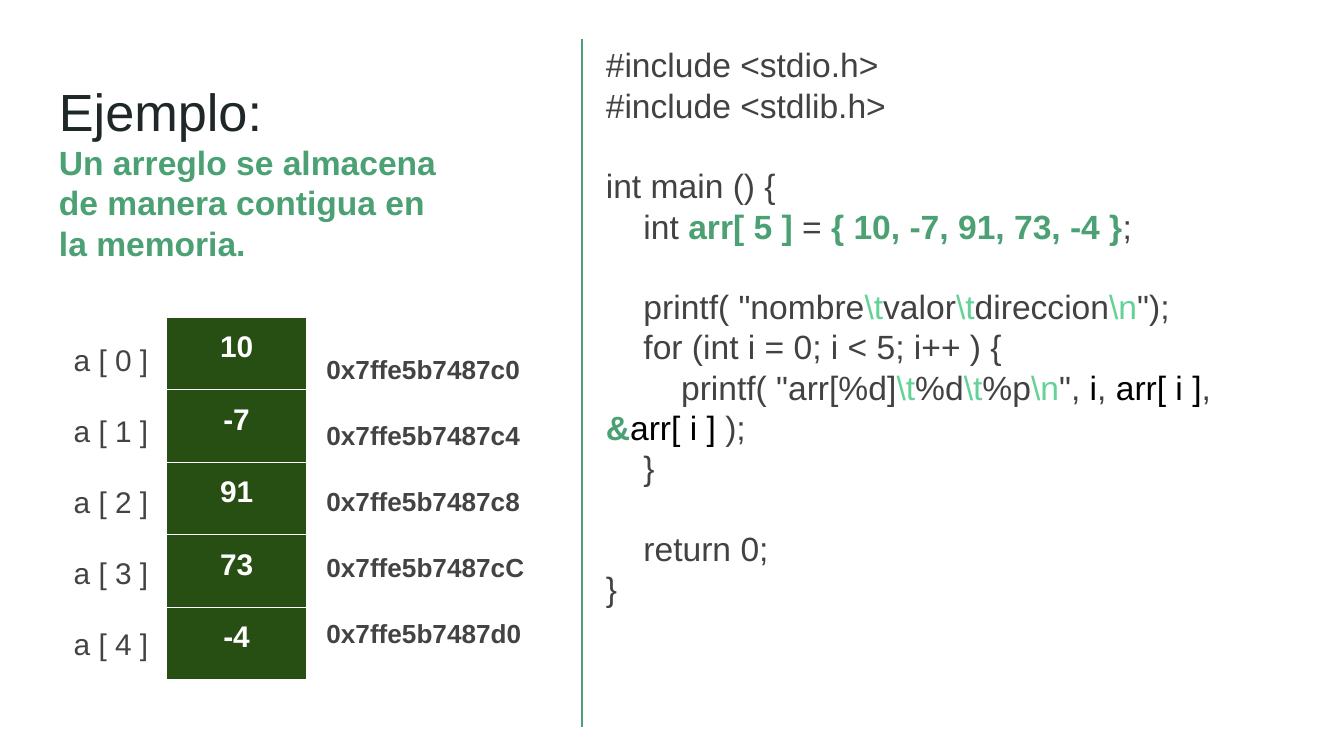
from lxml import etree
from pptx import Presentation
from pptx.dml.color import RGBColor
from pptx.enum import shapes, text
from pptx.oxml import ns
from pptx.util import Inches, Pt

FONT = "Arial"
GREEN, MINT, DARK_GREEN = "4BA173", "63D297", "274E13"
INK, CODE_GRAY, LABEL_GRAY = "202729", "424242", "434343"
BLACK, WHITE = "000000", "FFFFFF"

VALUES = ["10", "-7", "91", "73", "-4"]
ADDRESSES = ["0x7ffe5b7487" + end for end in ("c0", "c4", "c8", "cC", "d0")]
ARRAY_TOP, ROW_HEIGHT = 2.36, 0.54

PLAIN, KEY, ESCAPE, VARIABLE = (
    (CODE_GRAY, False), (GREEN, True), (MINT, False), (BLACK, False))
TAB, NEWLINE = ("\\t", ESCAPE), ("\\n", ESCAPE)

# Each line: indent level, blank line before it, runs
CODE = [
    (0, False, [("#include <stdio.h>", PLAIN)]),
    (0, False, [("#include <stdlib.h>", PLAIN)]),
    (0, True, [("int main () {", PLAIN)]),
    (1, False, [("int ", PLAIN), ("arr[ 5 ]", KEY), (" = ", PLAIN),
                ("{ 10, -7, 91, 73, -4 }", KEY), (";", PLAIN)]),
    (1, True, [('printf( "nombre', PLAIN), TAB, ("valor", PLAIN), TAB,
               ("direccion", PLAIN), NEWLINE, ('");', PLAIN)]),
    (1, False, [("for (int i = 0; i < 5; i++ ) {", PLAIN)]),
    (2, False, [('printf( "arr[%d]', PLAIN), TAB, ("%d", PLAIN), TAB,
                ("%p", PLAIN), NEWLINE, ('", ', PLAIN), ("i", VARIABLE),
                (", ", PLAIN), ("arr[ i ]", VARIABLE), (", ", PLAIN),
                ("&", KEY), ("arr[ i ]", VARIABLE), (" );", PLAIN)]),
    (1, False, [("}", PLAIN)]),
    (1, True, [("return 0;", PLAIN)]),
    (0, False, [("}", PLAIN)]),
]


def rgb(color):
    return RGBColor.from_string(color)


def set_margins(box):
    box.margin_left = box.margin_right = Inches(0.1)
    box.margin_top = box.margin_bottom = Inches(0.1)


def add_text_box(slide, left, top, width, height, anchor=text.MSO_ANCHOR.TOP):
    sp = slide.shapes.add_textbox(
        Inches(left), Inches(top), Inches(width), Inches(height))
    tf = sp.text_frame
    tf.word_wrap = True
    tf.vertical_anchor = anchor
    set_margins(tf)
    return tf


def next_paragraph(tf, index):
    return tf.paragraphs[0] if index == 0 else tf.add_paragraph()


def format_run(r, size, color, bold):
    r.font.name = FONT
    r.font.size = Pt(size)
    r.font.bold = bold
    r.font.color.rgb = rgb(color)


def format_runs(p, size, color, bold=False):
    for r in p.runs:
        format_run(r, size, color, bold)


def add_title(slide):
    tf = add_text_box(slide, 0.34, 0.49, 3.01, 1.51)
    tf.text = ("Ejemplo:\n"
               "Un arreglo se almacena de manera contigua en la memoria.")
    heading, statement = tf.paragraphs
    format_runs(heading, 28, INK)
    format_runs(statement, 18, GREEN, bold=True)


def add_divider(slide, x, top, bottom):
    line = slide.shapes.add_connector(
        shapes.MSO_CONNECTOR.STRAIGHT,
        Inches(x), Inches(top), Inches(x), Inches(bottom))
    line.line.color.rgb = rgb(GREEN)
    line.line.width = Pt(0.75)
    etree.SubElement(line._element.spPr, ns.qn("a:effectLst"))


def add_code(slide):
    tf = add_text_box(slide, 4.41, 0.23, 5.53, 5.25)
    for i, (level, blank_before, runs) in enumerate(CODE):
        p = next_paragraph(tf, i)
        p.space_before = Pt(21.5 if blank_before else 0)
        # First-line indent, so that wrapped code returns to the margin
        p._p.get_or_add_pPr().set("indent", str(Inches(0.28 * level)))
        for content, (color, bold) in runs:
            r = p.add_run()
            r.text = content
            format_run(r, 18, color, bold)


def add_list(slide, left, width, items, size, bold=False, before=0, after=0):
    """Column of labels beside the array; before and after are its end gaps."""
    tf = add_text_box(slide, left, ARRAY_TOP, width, ROW_HEIGHT * len(items),
                      text.MSO_ANCHOR.MIDDLE)
    for i, item in enumerate(items):
        p = next_paragraph(tf, i)
        p.text = item
        p.line_spacing = 1.15
        p.space_before = Pt(16 if i else before)
        format_runs(p, size, LABEL_GRAY, bold)
    p.space_after = Pt(after)


def set_borders(cell, color, width):
    tc_pr = cell._tc.get_or_add_tcPr()
    for i, side in enumerate(("a:lnL", "a:lnR", "a:lnT", "a:lnB")):
        ln = etree.Element(ns.qn(side), w=str(Pt(width)))
        fill = etree.SubElement(ln, ns.qn("a:solidFill"))
        etree.SubElement(fill, ns.qn("a:srgbClr"), val=color)
        tc_pr.insert(i, ln)


def add_array(slide):
    table = slide.shapes.add_table(
        len(VALUES), 1, Inches(1.24), Inches(ARRAY_TOP),
        Inches(1.04), Inches(ROW_HEIGHT * len(VALUES))).table
    table.first_row = table.horz_banding = False
    for row, value in zip(table.rows, VALUES):
        row.height = Inches(ROW_HEIGHT)
        cell = row.cells[0]
        cell.fill.solid()
        cell.fill.fore_color.rgb = rgb(DARK_GREEN)
        set_margins(cell)
        set_borders(cell, WHITE, 0.75)
        p = cell.text_frame.paragraphs[0]
        p.text = value
        p.alignment = text.PP_ALIGN.CENTER
        format_runs(p, 16, WHITE, bold=True)


def main():
    prs = Presentation()
    prs.slide_width = Inches(10)
    prs.slide_height = prs.slide_width * 9 // 16
    slide = prs.slides.add_slide(prs.slide_layouts[6])
    add_title(slide)
    add_divider(slide, 4.33, 0.29, 5.41)
    add_code(slide)
    add_list(slide, 0.45, 0.79, [f"a [ {i} ]" for i in range(len(VALUES))], 16)
    add_array(slide)
    add_list(slide, 2.33, 1.82, ADDRESSES, 14, bold=True, before=16, after=16)
    prs.save("out.pptx")


if __name__ == "__main__":
    main()
